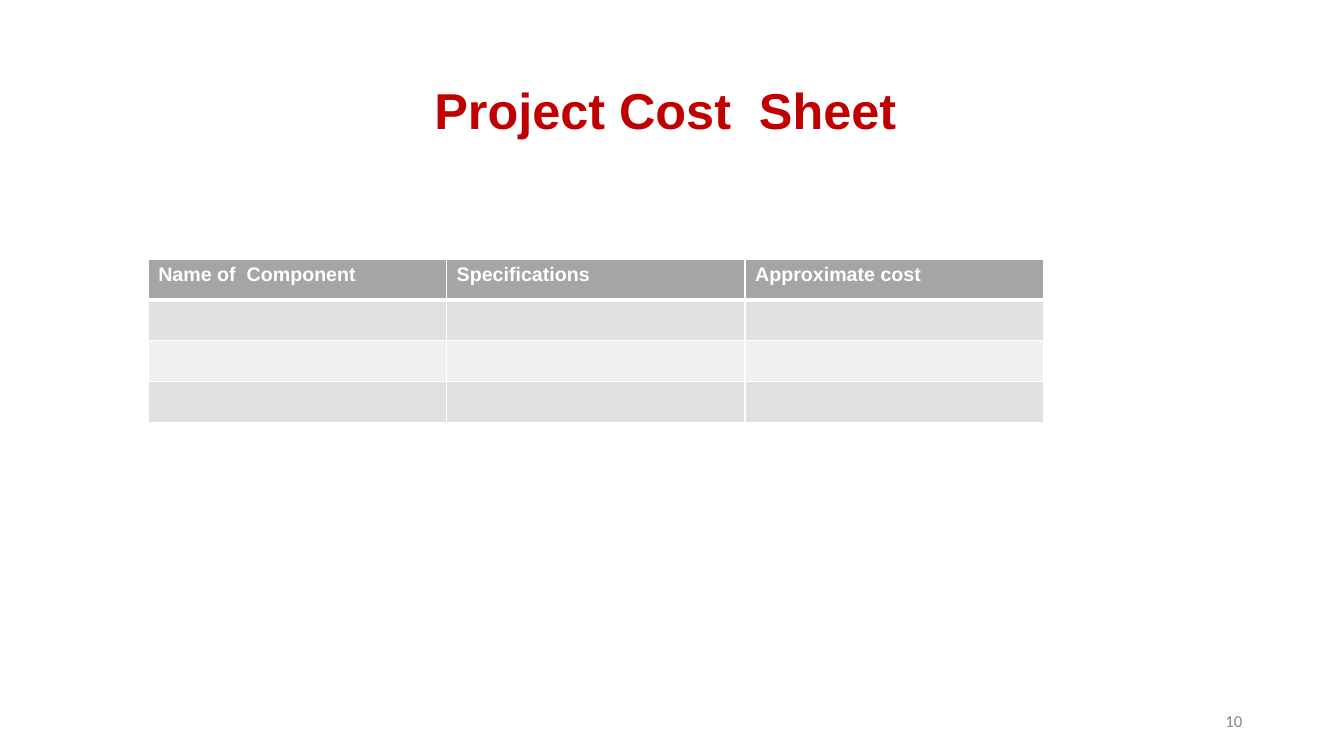
import pptx
import pptx.util
import pptx.dml.color
import pptx.enum.text
import pptx.oxml
import pptx.oxml.ns

inch = pptx.util.Inches
align = pptx.enum.text.PP_ALIGN
hues = {"title": "C00000", "head": "A5A5A5", "odd": "E0E0E0",
        "even": "F0F0F0", "white": "FFFFFF", "page": "888888"}

deck = pptx.Presentation()
deck.slide_width, deck.slide_height = inch(13.33), inch(7.5)
slide = deck.slides.add_slide(deck.slide_layouts[6])


def style(para, font, size, hue, bold=False):
    for run in para.runs:
        run.font.name = font
        run.font.size = pptx.util.Pt(size)
        run.font.bold = bold
        run.font.color.rgb = pptx.dml.color.RGBColor.from_string(hues[hue])


def label(text, left, top, width, height, side):
    box = slide.shapes.add_textbox(inch(left), inch(top), inch(width), inch(height))
    frame = box.text_frame
    frame.word_wrap = True
    frame.vertical_anchor = pptx.enum.text.MSO_ANCHOR.MIDDLE
    frame.text = text
    frame.paragraphs[0].alignment = side
    return frame.paragraphs[0]


# Title
title = label("Project Cost  Sheet ", 0.92, 0.4, 11.5, 1.45, align.CENTER)
title.line_spacing = 0.9
style(title, "Arial", 36, "title", True)

# Cost table: a header and three empty rows
heads = ["Name of  Component", "Specifications", "Approximate cost"]
fills = ["head", "odd", "even", "odd"]
wide, high = 2.96, 0.405
grid = slide.shapes.add_table(len(fills), len(heads), inch(1.47), inch(2.57),
                              inch(wide * len(heads)), inch(high * len(fills))).table
for col in grid.columns:
    col.width = inch(wide)

for row, fill in enumerate(fills):
    grid.rows[row].height = inch(high)
    for col, head in enumerate(heads):
        cell = grid.cell(row, col)
        cell.fill.solid()
        cell.fill.fore_color.rgb = pptx.dml.color.RGBColor.from_string(hues[fill])
        if row == 0:
            cell.text_frame.text = head
            style(cell.text_frame.paragraphs[0], "Arial", 14, "white", True)

        # White borders, thick below the header
        props = cell._tc.get_or_add_tcPr()
        for spot, side in enumerate("LRTB"):
            thick = (row, side) in [(0, "B"), (1, "T")]
            width = pptx.util.Pt(3 if thick else 1)
            props.insert(spot, pptx.oxml.parse_xml(
                f'<a:ln{side} {pptx.oxml.ns.nsdecls("a")} w="{width}"><a:solidFill>'
                f'<a:srgbClr val="{hues["white"]}"/></a:solidFill></a:ln{side}>'))

# Page number
page = label("10", 9.42, 6.95, 3, 0.4, align.RIGHT)
style(page, "Calibri", 12, "page")

deck.save("out.pptx")
